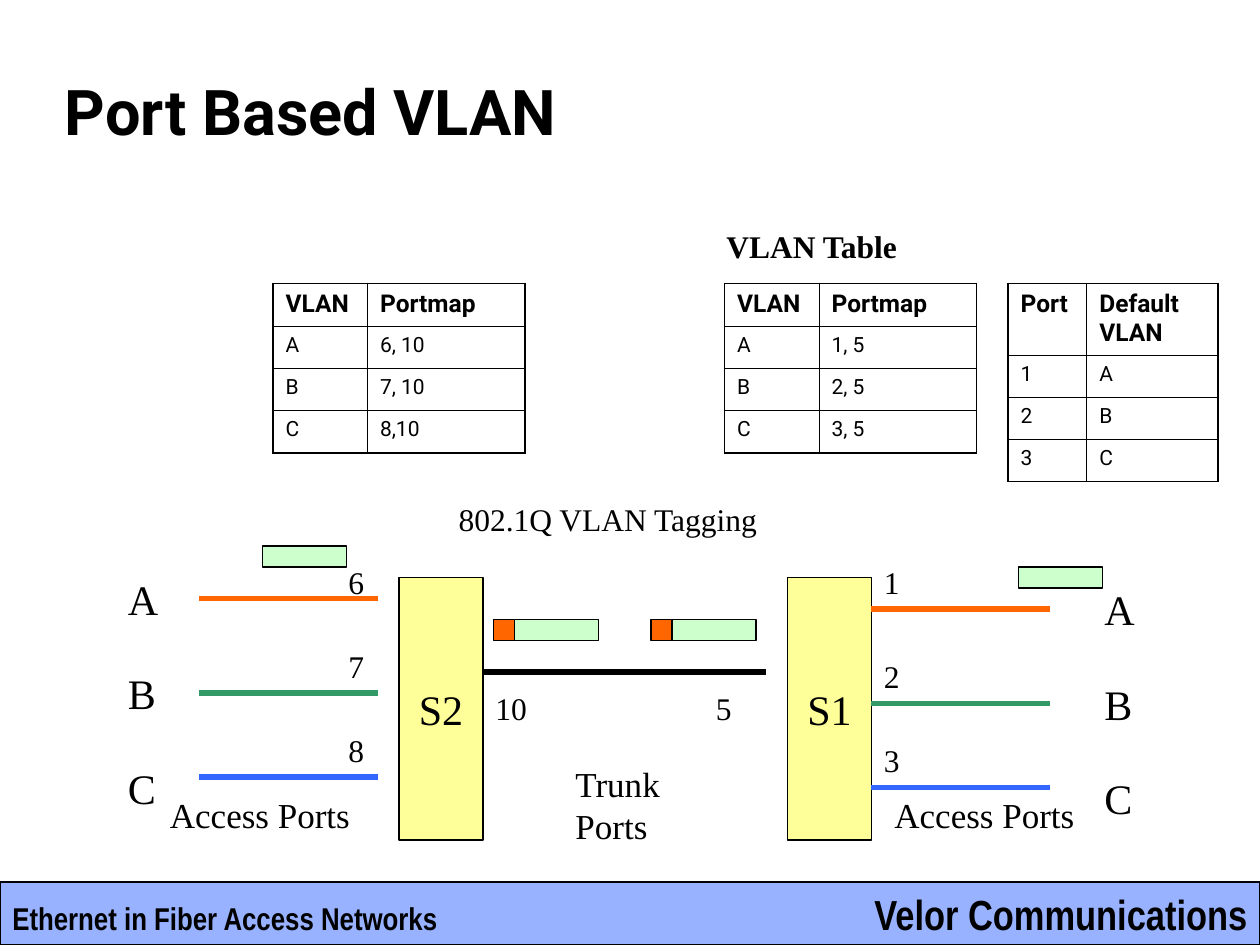
from lxml import etree
from pptx import Presentation
from pptx import util as u
from pptx.dml.color import RGBColor
from pptx.enum import shapes, text
from pptx.oxml.ns import qn

PX = 9525  # 96 px to the inch
THEME = {
    "ink": "000000", "footer": "3366FF", "switch": "FFFF99",
    "frame": "CCFFCC", "tag": "FF6600",
    "links": ("FF6600", "339966", "3366FF"),
    "serif": "Times New Roman", "sans": "Roboto", "narrow": "Arial Narrow",
    "title": 36, "large": 24, "medium": 20, "normal": 18, "head": 14, "cell": 12,
    "outline": 0.75, "link": 3, "inner": 0.45, "outer": 1.08,
}

# Content
TITLE = "Port Based VLAN"
FOOTER_LEFT, FOOTER_RIGHT = "Ethernet in Fiber Access Networks", "Velor Communications"
STATIONS = ("A", "B", "C")
TABLES = [  # left, column widths, header height, rows
    (208, (72, 120), 33, [("VLAN", "Portmap"), ("A", "6, 10"), ("B", "7, 10"), ("C", "8,10")]),
    (552, (72, 120), 33, [("VLAN", "Portmap"), ("A", "1, 5"), ("B", "2, 5"), ("C", "3, 5")]),
    (768, (60, 100), 55, [("Port", "Default VLAN"), ("1", "A"), ("2", "B"), ("3", "C")]),
]
TABLE_TOP, ROW_HEIGHT = 216, 32
SWITCHES = [
    {"name": "S2", "left": 304, "link_left": 152, "link_tops": (456, 528, 592),
     "ports": ("6", "7", "8"), "port_left": 256, "port_tops": (424, 488, 552),
     "station_left": 88, "station_top": 432, "access_left": 120},
    {"name": "S1", "left": 600, "link_left": 664, "link_tops": (464, 536, 600),
     "ports": ("1", "2", "3"), "port_left": 664, "port_tops": (424, 496, 560),
     "station_left": 832, "station_top": 440, "access_left": 672},
]
SWITCH_TOP, SWITCH_WIDTH, SWITCH_HEIGHT = 440, 64, 200
LINK_LENGTH, STATION_PITCH = 136, 72
UNTAGGED_FRAMES = [(200, 416), (776, 432)]
TAGGED_FRAMES = [(376, 472), (496, 472)]
FRAME_WIDTH, FRAME_HEIGHT = 64, 16
TRUNK_PORTS = [("10", 368), ("5", 536)]

prs = Presentation()
prs.slide_width, prs.slide_height = 960 * PX, 720 * PX
slide = prs.slides.add_slide(prs.slide_layouts[6])


def rgb(name):
    return RGBColor.from_string(THEME.get(name, name))


def write(frame, content, font="serif", size="normal", bold=False,
          align="LEFT", anchor="TOP", wrap=True):
    frame.word_wrap = wrap
    frame.vertical_anchor = text.MSO_ANCHOR[anchor]
    for index, line in enumerate(content.split("\n")):
        paragraph = frame.add_paragraph() if index else frame.paragraphs[0]
        paragraph.alignment = text.PP_ALIGN[align]
        run = paragraph.add_run()
        run.text = line
        run.font.name, run.font.size, run.font.bold = THEME[font], u.Pt(THEME[size]), bold
        run.font.color.rgb = rgb("ink")


def label(content, left, top, width, height, **style):
    box = slide.shapes.add_textbox(left * PX, top * PX, width * PX, height * PX)
    write(box.text_frame, content, **style)


def block(left, top, width, height, fill):
    rect = slide.shapes.add_shape(shapes.MSO_SHAPE.RECTANGLE,
                                  left * PX, top * PX, width * PX, height * PX)
    rect.shadow.inherit = False
    rect.fill.solid()
    rect.fill.fore_color.rgb = rgb(fill)
    rect.line.color.rgb = rgb("ink")
    rect.line.width = u.Pt(THEME["outline"])
    return rect


def link(start, end, top, color):
    wire = slide.shapes.add_connector(shapes.MSO_CONNECTOR.STRAIGHT,
                                      start * PX, top * PX, end * PX, top * PX)
    wire.line.color.rgb = rgb(color)
    wire.line.width = u.Pt(THEME["link"])
    etree.SubElement(wire.element.spPr, qn("a:effectLst"))


def border(cell, outer_sides):
    props = cell._tc.get_or_add_tcPr()
    for index, side in enumerate(("L", "R", "T", "B")):
        weight = THEME["outer" if side in outer_sides else "inner"]
        edge = etree.Element(qn("a:ln" + side), w=str(u.Pt(weight)))
        fill = etree.SubElement(edge, qn("a:solidFill"))
        etree.SubElement(fill, qn("a:srgbClr"), val=THEME["ink"])
        props.insert(index, edge)


def vlan_table(left, widths, header_height, rows):
    heights = [header_height] + [ROW_HEIGHT] * (len(rows) - 1)
    table = slide.shapes.add_table(len(rows), len(widths), left * PX, TABLE_TOP * PX,
                                   sum(widths) * PX, sum(heights) * PX).table
    for column, width in zip(table.columns, widths):
        column.width = width * PX
    for r, (row, height) in enumerate(zip(rows, heights)):
        table.rows[r].height = height * PX
        for c, value in enumerate(row):
            cell = table.cell(r, c)
            cell.fill.background()
            write(cell.text_frame, value, font="sans",
                  size="cell" if r else "head", bold=r == 0)
            border(cell, {"L" if c == 0 else "", "R" if c == len(row) - 1 else "",
                          "T" if r == 0 else "", "B" if r == len(rows) - 1 else ""})


# Footer and title
footer = block(0, 672, 960, 48, "footer")
footer_color = footer.fill._xPr.find(qn("a:solidFill"))[0]
etree.SubElement(footer_color, qn("a:alpha"), val="50000")
label(FOOTER_RIGHT, 646, 672, 314, 48, font="narrow", size="large", bold=True,
      align="RIGHT", wrap=False)
label(FOOTER_LEFT, 0, 680, 344, 38, font="narrow", bold=True, wrap=False)
label(TITLE, 40, 48, 816, 72, font="sans", size="title", bold=True, anchor="MIDDLE")

# Ethernet frames, with and without a tag
for left, top in UNTAGGED_FRAMES:
    block(left, top, FRAME_WIDTH, FRAME_HEIGHT, "frame")
for left, top in TAGGED_FRAMES:
    block(left + FRAME_HEIGHT, top, FRAME_WIDTH, FRAME_HEIGHT, "frame")
    block(left, top, FRAME_HEIGHT, FRAME_HEIGHT, "tag")

# Switches with their access ports
for switch in SWITCHES:
    body = block(switch["left"], SWITCH_TOP, SWITCH_WIDTH, SWITCH_HEIGHT, "switch")
    write(body.text_frame, switch["name"], size="large", align="CENTER",
          anchor="MIDDLE", wrap=False)
    for top, color in zip(switch["link_tops"], THEME["links"]):
        link(switch["link_left"] + LINK_LENGTH, switch["link_left"], top, color)
    label("Access Ports", switch["access_left"], 600, 160, 42, size="medium")
    for index, station in enumerate(STATIONS):
        label(station, switch["station_left"], switch["station_top"] + index * STATION_PITCH,
              42, 48, size="large", wrap=False)
    for port, top in zip(switch["ports"], switch["port_tops"]):
        label(port, switch["port_left"], top, 32, 38)

# Trunk
link(368, 584, 512, "ink")
for port, left in TRUNK_PORTS:
    label(port, left, 520, 48, 38)
label("Trunk\nPorts", 429, 576, 91, 74, size="medium", wrap=False)
label("802.1Q VLAN Tagging", 340, 376, 249, 38, wrap=False)

# Tables
label("VLAN Table", 544, 168, 208, 38, bold=True)
for spec_row in TABLES:
    vlan_table(*spec_row)

prs.save("out.pptx")
